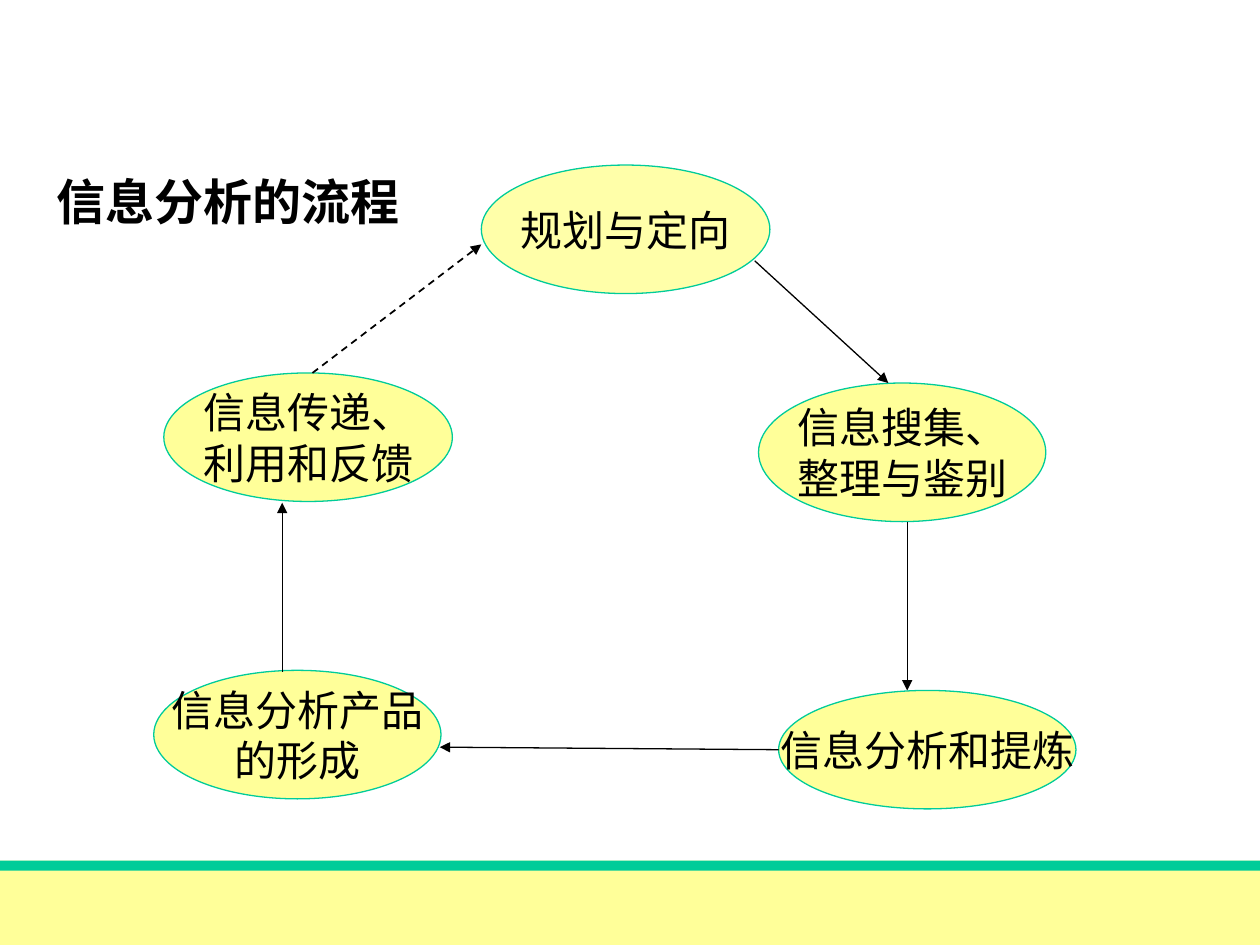
from lxml.etree import SubElement
from pptx import Presentation
from pptx.dml.color import RGBColor
from pptx.enum.dml import MSO_LINE
from pptx.enum.shapes import MSO_CONNECTOR, MSO_SHAPE
from pptx.enum.text import MSO_ANCHOR, PP_ALIGN
from pptx.oxml.ns import qn
from pptx.util import Inches, Pt

YELLOW, GREEN, BLACK = "FFFF99", "00CC99", "000000"


def colour(value):
    return RGBColor.from_string(value)


class SlideBuilder:
    font_name = "Times New Roman"

    def __init__(self, page):
        self.page = page

    def add_lines(self, box, lines, wrap, align, anchor, **font_format):
        frame = box.text_frame
        frame_format = {"word_wrap": wrap, "vertical_anchor": anchor,
                        "margin_left": Inches(0.1), "margin_right": Inches(0.1),
                        "margin_top": Inches(0.05), "margin_bottom": Inches(0.05)}
        for name, value in frame_format.items():
            setattr(frame, name, value)
        for index, line in enumerate(lines):
            para = frame.add_paragraph() if index else frame.paragraphs[0]
            para.alignment = align
            span = para.add_run()
            span.text = line
            span.font.color.rgb = colour(BLACK)
            for name, value in {"name": self.font_name, **font_format}.items():
                setattr(span.font, name, value)

    def shape(self, kind, place, fill, line=None):
        shape = self.page.shapes.add_shape(kind, *map(Inches, place))
        shape.shadow.inherit = False
        shape.fill.solid()
        shape.fill.fore_color.rgb = colour(fill)
        if line:
            shape.line.color.rgb = colour(line)
            shape.line.width = Pt(0.75)
        else:
            shape.line.fill.background()
        return shape

    def band(self, top, height, fill):
        self.shape(MSO_SHAPE.RECTANGLE, (0, top, 10, height), fill)

    def step(self, place, lines, opacity=None):
        ellipse = self.shape(MSO_SHAPE.OVAL, place, YELLOW, GREEN)
        if opacity:
            fill = ellipse._element.spPr.find(qn("a:solidFill"))
            SubElement(fill[0], qn("a:alpha"), val=str(opacity * 1000))
        self.add_lines(ellipse, lines, False, PP_ALIGN.CENTER, MSO_ANCHOR.MIDDLE, size=Pt(24))

    def arrow(self, start, end, width=0.75, dash=None):
        arrow = self.page.shapes.add_connector(
            MSO_CONNECTOR.STRAIGHT, *map(Inches, start + end))
        arrow.line.color.rgb = colour(BLACK)
        arrow.line.width = Pt(width)
        if dash:
            arrow.line.dash_style = dash
        properties = arrow._element.spPr
        SubElement(properties.find(qn("a:ln")), qn("a:tailEnd"), type="triangle")
        SubElement(properties, qn("a:effectLst"))

    def title(self, place, text):
        box = self.page.shapes.add_textbox(*map(Inches, place))
        self.add_lines(box, [text], True, PP_ALIGN.LEFT, MSO_ANCHOR.TOP, size=Pt(28), bold=True)


def main():
    deck = Presentation()
    deck.slide_width, deck.slide_height = Inches(10), Inches(7.5)
    builder = SlideBuilder(deck.slides.add_slide(deck.slide_layouts[6]))

    # Footer bands
    builder.band(6.83, 0.67, YELLOW)
    builder.band(6.83, 0.08, GREEN)

    # Steps of the cycle, clockwise from the top
    builder.step((3.82, 1.31, 2.29, 1.02), ["规划与定向"], opacity=84)
    builder.step((6.02, 3.04, 2.28, 1.1), ["信息搜集、", "整理与鉴别"])
    builder.step((6.18, 5.48, 2.36, 0.94), ["信息分析和提炼"])
    builder.step((1.22, 5.32, 2.28, 1.02), ["信息分析产品", "的形成"])
    builder.step((1.3, 2.96, 2.29, 1.02), ["信息传递、", "利用和反馈"])

    # Arrows between the steps; the feedback arrow is dashed
    builder.arrow((5.99, 2.07), (7.05, 3.04))
    builder.arrow((7.2, 4.14), (7.2, 5.48))
    builder.arrow((6.18, 5.95), (3.49, 5.93))
    builder.arrow((2.24, 5.33), (2.24, 3.99))
    builder.arrow((2.48, 2.96), (3.82, 1.94), width=1, dash=MSO_LINE.DASH)

    # Title
    builder.title((0.35, 1.31, 3.15, 0.57), "信息分析的流程")

    deck.save("out.pptx")


if __name__ == "__main__":
    main()
